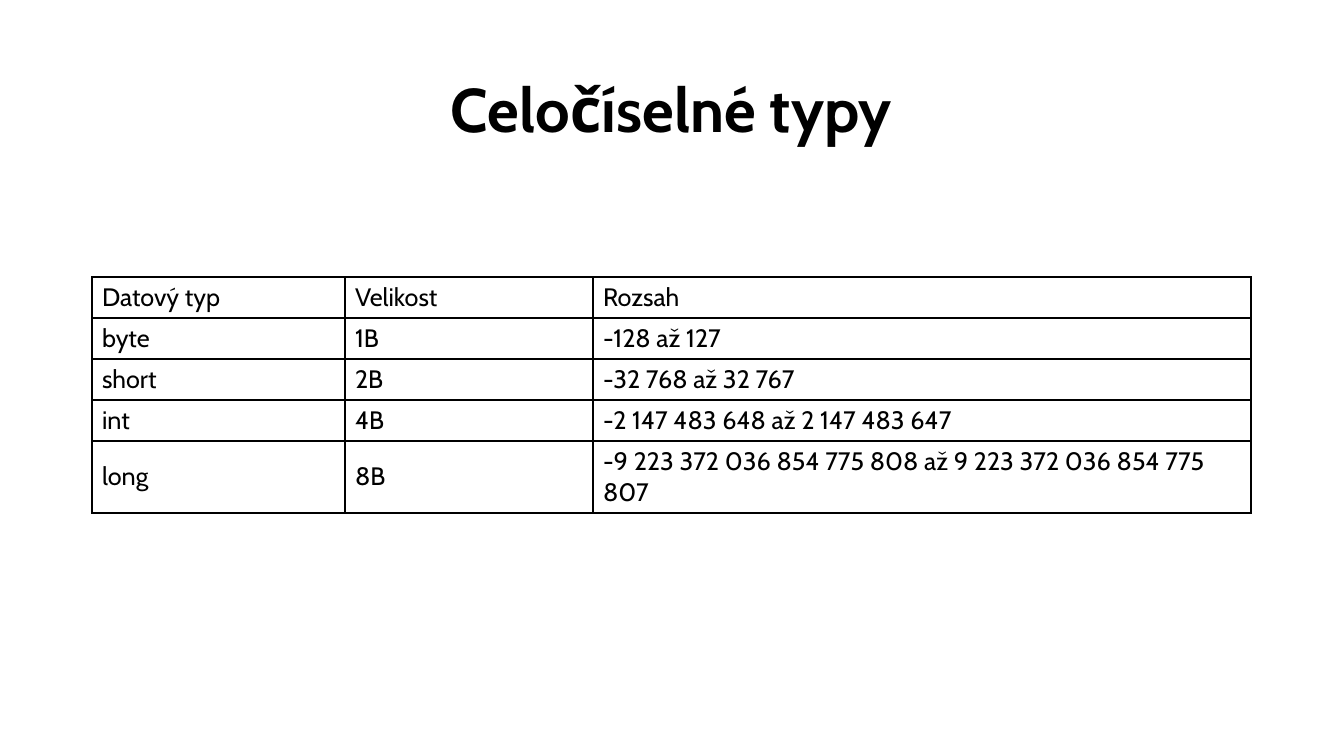
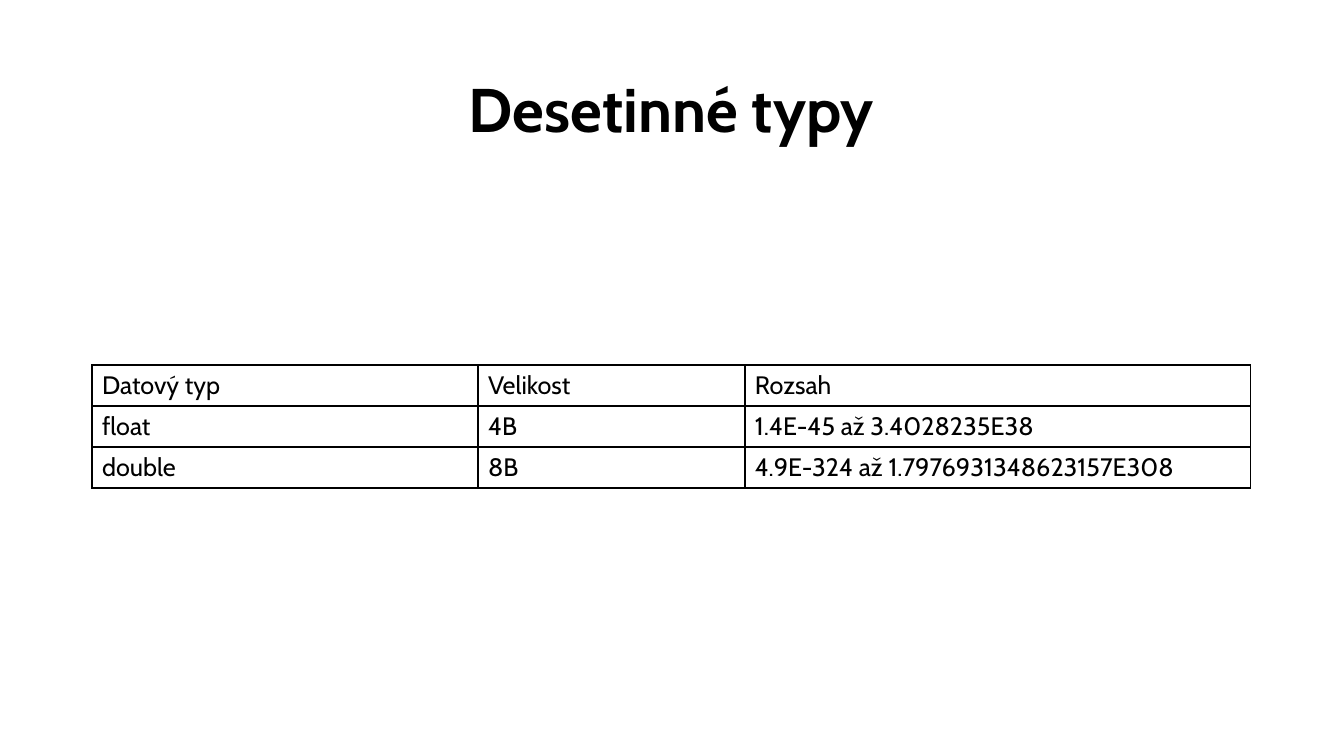
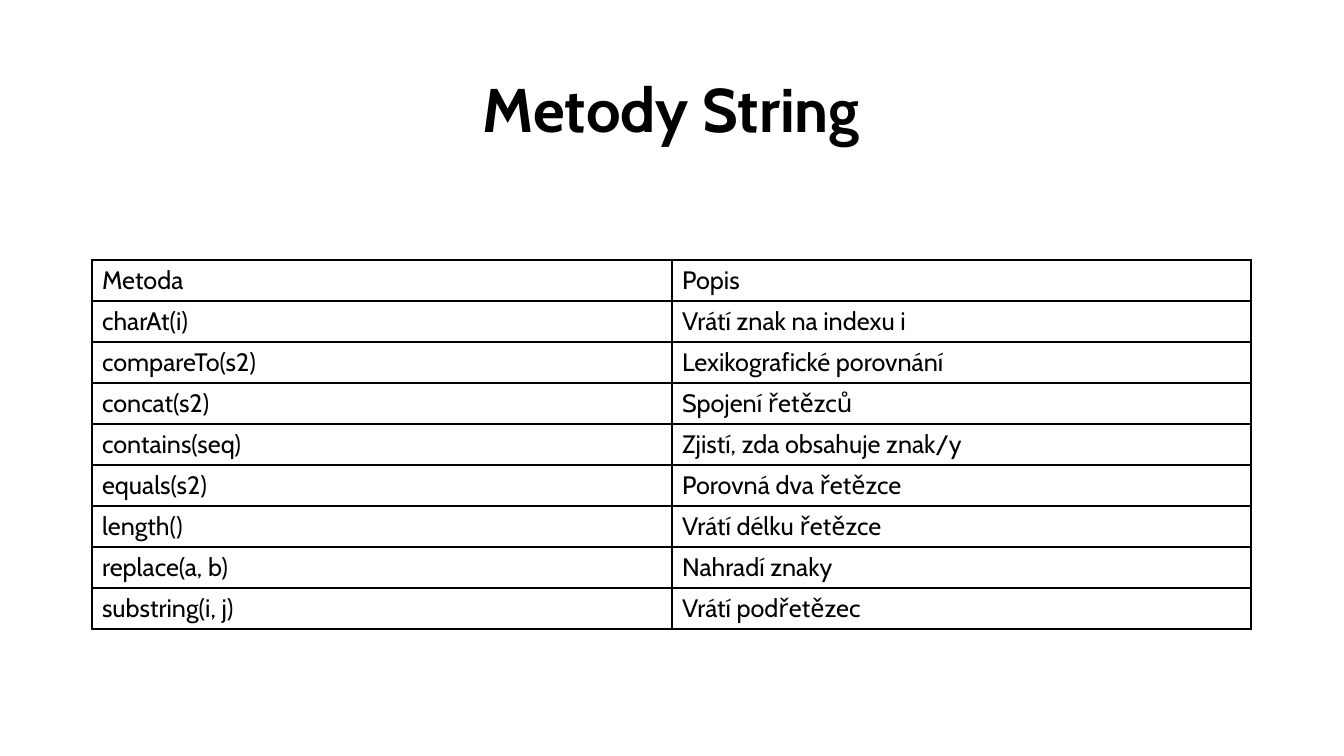
"""Build three slides of Java data type and String method tables."""
import pptx
import pptx.dml.color
import pptx.enum.text
import pptx.oxml
import pptx.oxml.ns
import pptx.util

PX = 914400 / 100.8
SLIDE_SIZE = (1344, 756)
TITLE_BOX = (92, 40, 1159, 146)
TABLE_LEFT = 92
LINE_ROW, WRAPPED_ROW = 41, 72
FONT = "Cabin"
INK, PAPER = "000000", "FFFFFF"
TYPE_HEADER = ("Datový typ", "Velikost", "Rozsah")

SLIDES = [
    {
        "title": "Celočíselné typy",
        "top": 277,
        "columns": (253, 248, 658),
        "wrapped": {4},
        "rows": [
            TYPE_HEADER,
            ("byte", "1B", "-128 až 127"),
            ("short", "2B", "-32 768 až 32 767"),
            ("int", "4B", "-2 147 483 648 až 2 147 483 647"),
            ("long", "8B", "-9 223 372 036 854 775 808 až 9 223 372 036 854 775 807"),
        ],
    },
    {
        "title": "Desetinné typy",
        "top": 365,
        "columns": (386, 267, 506),
        "wrapped": set(),
        "rows": [
            TYPE_HEADER,
            ("float", "4B", "1.4E-45 až 3.4028235E38"),
            ("double", "8B", "4.9E-324 až 1.7976931348623157E308"),
        ],
    },
    {
        "title": "Metody String",
        "top": 260,
        "columns": (580, 579),
        "wrapped": set(),
        "rows": [
            ("Metoda", "Popis"),
            ("charAt(i)", "Vrátí znak na indexu i"),
            ("compareTo(s2)", "Lexikografické porovnání"),
            ("concat(s2)", "Spojení řetězců"),
            ("contains(seq)", "Zjistí, zda obsahuje znak/y"),
            ("equals(s2)", "Porovná dva řetězce"),
            ("length()", "Vrátí délku řetězce"),
            ("replace(a, b)", "Nahradí znaky"),
            ("substring(i, j)", "Vrátí podřetězec"),
        ],
    },
]


def px(length):
    return pptx.util.Emu(round(length * PX))


def color(value):
    return pptx.dml.color.RGBColor.from_string(value)


def style_text(frame, size, bold):
    frame.vertical_anchor = pptx.enum.text.MSO_ANCHOR.MIDDLE
    for para in frame.paragraphs:
        for span in para.runs:
            span.font.name = FONT
            span.font.size = pptx.util.Pt(size)
            span.font.bold = bold
            span.font.color.rgb = color(INK)


def add_title(page, text):
    title = page.shapes.title
    title.left, title.top, title.width, title.height = map(px, TITLE_BOX)
    frame = title.text_frame
    frame.text = text
    frame.paragraphs[0].alignment = pptx.enum.text.PP_ALIGN.CENTER
    frame.paragraphs[0].line_spacing = 0.9
    style_text(frame, 44, True)


def add_borders(cell):
    properties = cell._tc.get_or_add_tcPr()
    for side in ("lnL", "lnR", "lnT", "lnB"):
        properties.append(pptx.oxml.parse_xml(
            f'<a:{side} {pptx.oxml.ns.nsdecls("a")} w="{pptx.util.Pt(1)}">'
            f'<a:solidFill><a:srgbClr val="{INK}"/></a:solidFill></a:{side}>'))


def add_grid(page, top, columns, rows, wrapped):
    heights = [WRAPPED_ROW if index in wrapped else LINE_ROW for index in range(len(rows))]
    table = page.shapes.add_table(
        len(rows), len(columns), px(TABLE_LEFT), px(top),
        px(sum(columns)), px(sum(heights))).table
    table.first_row = table.horz_banding = False
    for column, width in zip(table.columns, columns):
        column.width = px(width)
    for row, height, texts in zip(table.rows, heights, rows):
        row.height = px(height)
        for cell, text in zip(row.cells, texts):
            cell.text = text
            cell.vertical_anchor = pptx.enum.text.MSO_ANCHOR.MIDDLE
            style_text(cell.text_frame, 18, False)
            add_borders(cell)
            cell.fill.background()


def main():
    deck = pptx.Presentation()
    deck.slide_width, deck.slide_height = map(px, SLIDE_SIZE)
    layout = deck.slide_layouts.get_by_name("Title Only")
    background = deck.slide_master.background.fill
    background.solid()
    background.fore_color.rgb = color(PAPER)
    for content in SLIDES:
        page = deck.slides.add_slide(layout)
        add_title(page, content["title"])
        add_grid(page, content["top"], content["columns"], content["rows"], content["wrapped"])
    deck.save("out.pptx")


if __name__ == "__main__":
    main()
